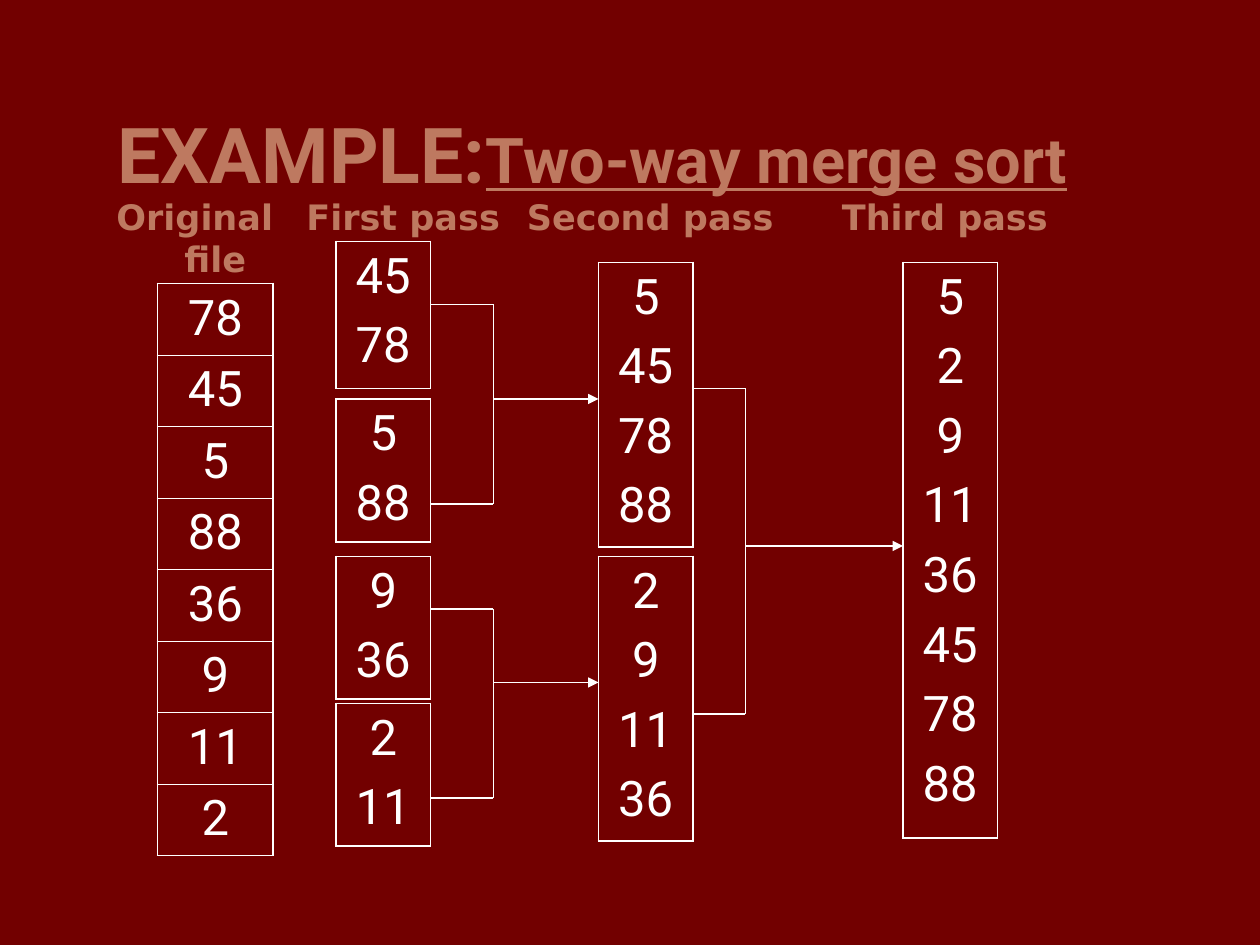
from lxml.etree import SubElement as Sub
from pptx import Presentation
from pptx.dml.color import RGBColor as RGB
from pptx.enum.shapes import MSO_CONNECTOR as Conn
from pptx.enum.text import MSO_ANCHOR as Anchor, MSO_AUTO_SIZE as Auto, PP_ALIGN as Align
from pptx.oxml import parse_xml
from pptx.oxml.ns import nsdecls, qn
from pptx.util import Pt

PX = 7620  # 120 px to the inch
ROSE, WHITE, MAROON = "BE7960", "FFFFFF", "720000"


def style(run, size, name, color, bold=False):
    font = run.font
    font.size, font.name, font.bold = Pt(size), name, bold
    font.color.rgb = RGB.from_string(color)


def add_grid(x, y, w, h, rows):
    """Add a one-column table; each row is a list of numbers."""
    grid = slide.shapes.add_table(len(rows), 1, x * PX, y * PX, w * PX, h * len(rows) * PX).table
    grid.first_row = grid.horz_banding = False
    grid.columns[0].width = w * PX
    last = len(rows) - 1
    for i, row in enumerate(rows):
        grid.rows[i].height = h * PX
        cell = grid.cell(i, 0)
        cell.fill.background()
        cell.text_frame.text = "\n".join(str(n) for n in row)
        for para in cell.text_frame.paragraphs:
            para.alignment, para.space_before = Align.CENTER, Pt(7)
            style(para.runs[0], 28, "Roboto", WHITE)
        # Thin rules between rows, thicker ones around the table
        widths = {"L": 1.08, "R": 1.08, "T": 0.45 if i else 1.08, "B": 0.45 if i < last else 1.08}
        for k, (side, width) in enumerate(widths.items()):
            cell._tc.get_or_add_tcPr().insert(k, parse_xml(
                f'<a:ln{side} {nsdecls("a")} w="{Pt(width)}"><a:solidFill>'
                f'<a:srgbClr val="{WHITE}"/></a:solidFill></a:ln{side}>'))


prs = Presentation()
prs.slide_width, prs.slide_height = 1200 * PX, 900 * PX
slide = prs.slides.add_slide(prs.slide_layouts[5])
slide.background.fill.solid()
slide.background.fill.fore_color.rgb = RGB.from_string(MAROON)

# Title
title = slide.shapes.title
title.left, title.top, title.width, title.height = [n * PX for n in (100, 100, 1020, 90)]
frame = title.text_frame
frame.auto_size, frame.vertical_anchor = Auto.NONE, Anchor.MIDDLE
frame.text = "EXAMPLE:"
para = frame.paragraphs[0]
para.alignment = Align.LEFT
style(para.runs[0], 44, "Roboto", ROSE, True)
topic = para.add_run()
topic.text = "Two-way merge sort"
style(topic, 36, "Roboto", ROSE, True)
topic.font.underline = True

# Column headings
heads = [(90, 230, 92, "Original\nfile"), (280, 220, 53, "First pass"),
         (490, 270, 53, "Second pass"), (790, 220, 53, "Third pass")]
for x, w, h, text in heads:
    frame = slide.shapes.add_textbox(x * PX, 180 * PX, w * PX, h * PX).text_frame
    frame.word_wrap = True
    frame.text = text
    for para in frame.paragraphs:
        style(para.runs[0], 20, "DejaVu Sans", ROSE, True)
    if len(frame.paragraphs) > 1:
        frame.paragraphs[0]._p.get_or_add_pPr().set("marL", str(9 * PX))
        frame.paragraphs[1].alignment = Align.CENTER

# Original file, one number a row
add_grid(150, 270, 110, 68, [[n] for n in (78, 45, 5, 88, 36, 9, 11, 2)])

# Sorted runs after each pass
runs = [(320, 230, 140, [45, 78]), (320, 380, 136, [5, 88]),
        (320, 530, 136, [9, 36]), (320, 670, 136, [2, 11]),
        (570, 250, 271, [5, 45, 78, 88]), (570, 530, 271, [2, 9, 11, 36]),
        (860, 250, 548, [5, 2, 9, 11, 36, 45, 78, 88])]
for x, y, h, nums in runs:
    add_grid(x, y, 90, h, [nums])

# Merge brackets: start, spine, end, then upper, lower and arrow heights
merges = [(410, 470, 570, 290, 480, 380), (410, 470, 570, 580, 760, 650),
          (660, 710, 860, 370, 680, 520)]
for start, spine, end, top, low, mid in merges:
    for ends in [(start, top, spine, top), (start, low, spine, low),
                 (spine, top, spine, low), (spine, mid, end, mid)]:
        line = slide.shapes.add_connector(Conn.STRAIGHT, *[n * PX for n in ends])
        line.line.width = Pt(0.75)
        line.line.color.rgb = RGB.from_string(WHITE)
        if ends[2] == end:
            Sub(line.line._get_or_add_ln(), qn("a:tailEnd"), type="triangle")
        Sub(line._element.spPr, qn("a:effectLst"))

prs.save("out.pptx")
